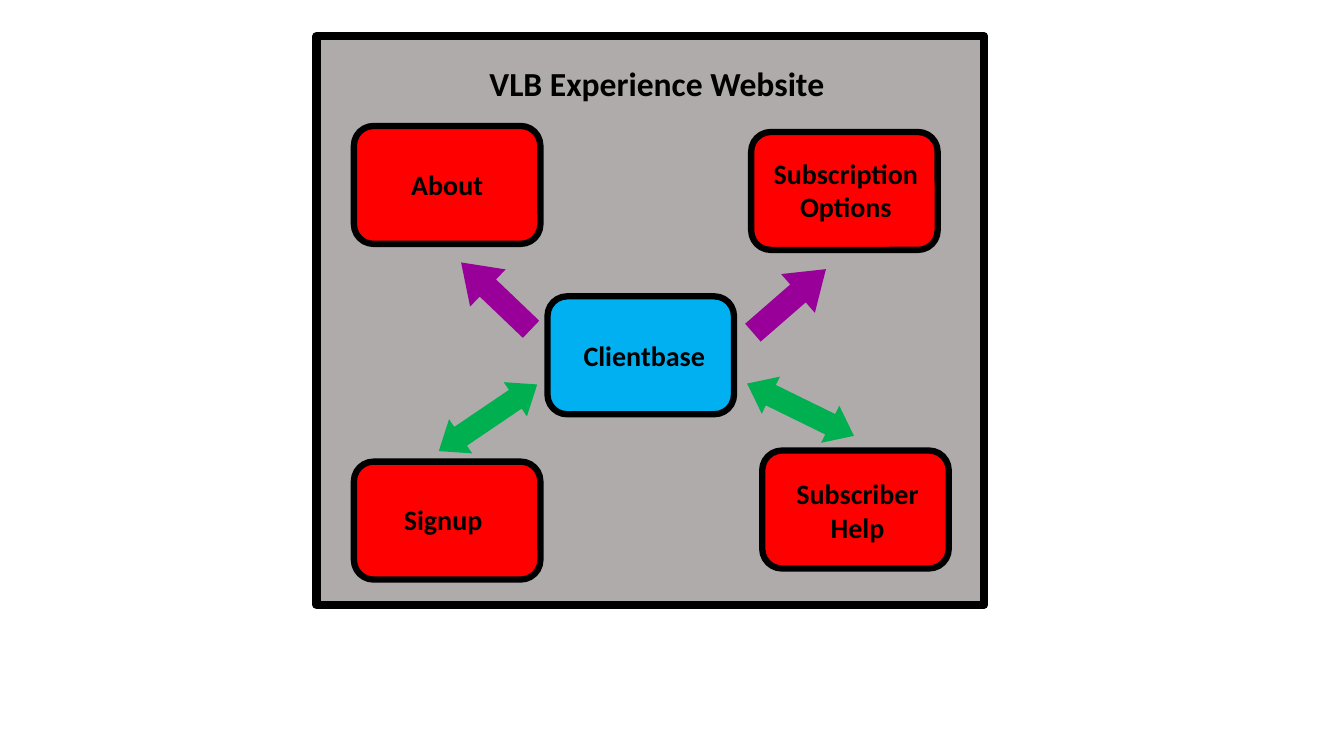
import pptx
import pptx.util
import pptx.dml.color
import pptx.enum.shapes
import pptx.enum.text

Inches = pptx.util.Inches
Pt = pptx.util.Pt
RGBColor = pptx.dml.color.RGBColor
Shape = pptx.enum.shapes.MSO_SHAPE

BLACK = RGBColor(0x00, 0x00, 0x00)
GREY = RGBColor(0xAF, 0xAB, 0xAB)
RED = RGBColor(0xFF, 0x00, 0x00)
BLUE = RGBColor(0x00, 0xB0, 0xF0)
PURPLE = RGBColor(0x99, 0x00, 0x99)
GREEN = RGBColor(0x00, 0xB0, 0x50)

FONT = "Calibri"
NODE_SIZE = (1.85, 1.17)

# Node corner, fill, label text, label area
NODES = [
    ((3.51, 1.25), RED, "About", (3.79, 1.61, 1.29, 0.44)),
    ((7.45, 1.31), RED, "Subscription Options", (7.56, 1.5, 1.66, 0.77)),
    ((3.51, 4.58), RED, "Signup", (3.75, 4.94, 1.29, 0.44)),
    ((7.56, 4.47), RED, "Subscriber Help", (7.79, 4.68, 1.43, 0.77)),
    ((5.43, 2.94), BLUE, "Clientbase", (5.68, 3.31, 1.42, 0.44)),
]

# Arrow style: preset, size, adjustments, fill
ONE_WAY = (Shape.RIGHT_ARROW, (0.96, 0.51), (0.46, 0.72), PURPLE)
TWO_WAY = (Shape.LEFT_RIGHT_ARROW, (1.18, 0.41), (0.55, 0.64), GREEN)

# Arrow style, corner, rotation
ARROWS = [
    (ONE_WAY, (4.44, 2.68), 223.7),
    (ONE_WAY, (7.35, 2.73), 319),
    (TWO_WAY, (4.25, 3.94), 325.9),
    (TWO_WAY, (7.35, 3.86), 26.1),
]


def add_filled_shape(page, preset, area, fill, line_width=None):
    shape = page.shapes.add_shape(preset, *map(Inches, area))
    shape.shadow.inherit = False
    shape.fill.solid()
    shape.fill.fore_color.rgb = fill
    if line_width is None:
        shape.line.fill.background()
    else:
        shape.line.color.rgb = BLACK
        shape.line.width = Pt(line_width)
    return shape


def write_text(box, text, size):
    frame = box.text_frame
    frame.word_wrap = True
    frame.auto_size = pptx.enum.text.MSO_AUTO_SIZE.NONE
    frame.vertical_anchor = pptx.enum.text.MSO_ANCHOR.TOP
    para = frame.paragraphs[0]
    para.alignment = pptx.enum.text.PP_ALIGN.CENTER
    para.line_spacing = 1.0
    para.space_before = Pt(0)
    span = para.add_run()
    span.text = text
    span.font.name = FONT
    span.font.size = Pt(size)
    span.font.bold = True
    span.font.color.rgb = BLACK


def add_label(page, text, area):
    box = page.shapes.add_textbox(*map(Inches, area))
    write_text(box, text, 20)


def add_arrow(page, style, corner, rotation):
    preset, size, adjustments, fill = style
    arrow = add_filled_shape(page, preset, corner + size, fill)
    arrow.rotation = rotation
    for index, value in enumerate(adjustments):
        arrow.adjustments[index] = value


def place_title(page, text, area):
    title = page.shapes.title
    title.left, title.top, title.width, title.height = map(Inches, area)
    write_text(title, text, 24)
    # Bring the title in front of the frame
    title.element.getparent().append(title.element)


def main():
    deck = pptx.Presentation()
    deck.slide_width = Inches(13.33)
    deck.slide_height = Inches(7.5)
    page = deck.slides.add_slide(deck.slide_layouts.get_by_name("Title Only"))

    # Website frame
    add_filled_shape(page, Shape.RECTANGLE, (3.14, 0.36, 6.62, 5.64), GREY, 6)

    # Site sections around the hub
    for corner, fill, text, label_area in NODES:
        add_filled_shape(page, Shape.ROUNDED_RECTANGLE, corner + NODE_SIZE, fill, 4.5)
        add_label(page, text, label_area)

    # Data flows
    for style, corner, rotation in ARROWS:
        add_arrow(page, style, corner, rotation)

    place_title(page, "VLB Experience Website", (4.66, 0.57, 3.71, 0.5))
    deck.save("out.pptx")


if __name__ == "__main__":
    main()
